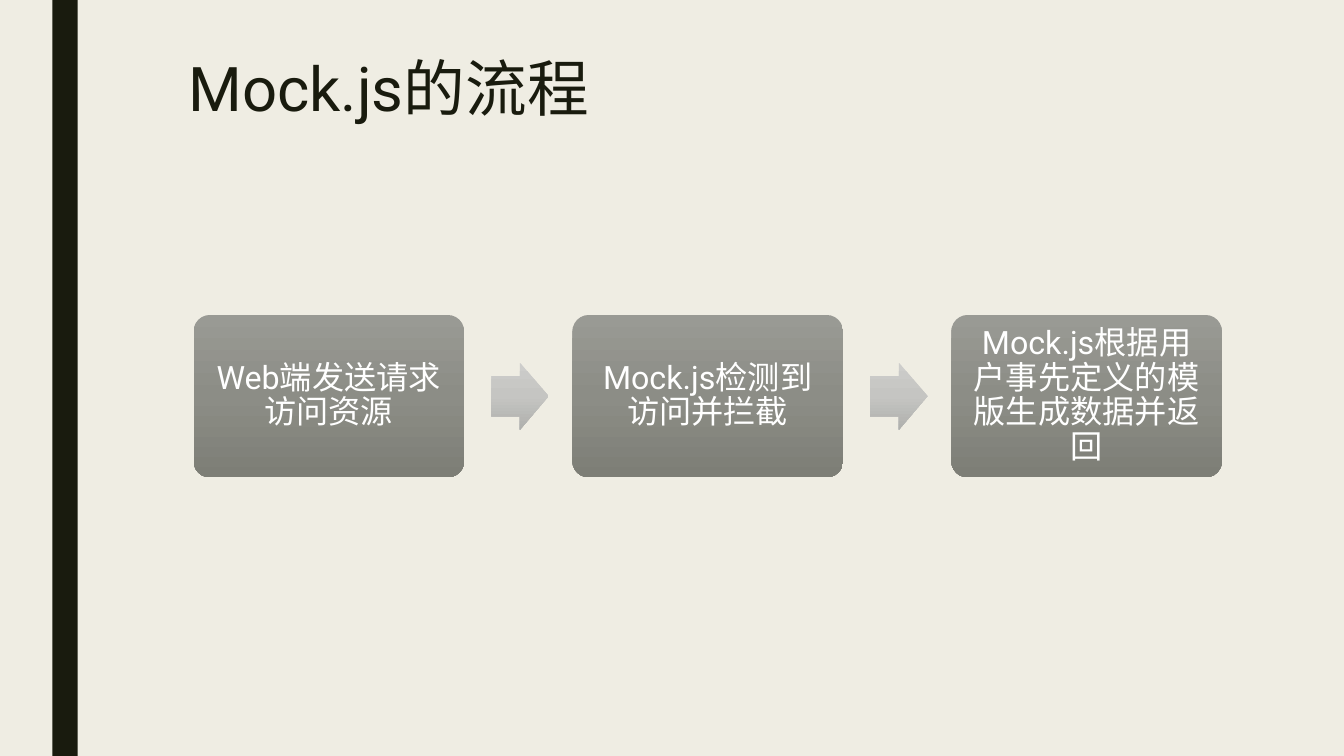
from copy import deepcopy

from pptx import Presentation
from pptx.dml.color import RGBColor
from pptx.enum.shapes import MSO_SHAPE as Preset
from pptx.enum.text import MSO_ANCHOR as Anchor, MSO_AUTO_SIZE as AutoSize, PP_ALIGN as Align
from pptx.util import Inches, Pt

SLIDE_W, SLIDE_H = 13.33, 7.5
FONT = "Roboto"
PAPER, INK, WHITE = "EFEDE3", "191B0E", "FFFFFF"
STEP_SHADES = ["999A94", "8C8D86", "7D7E76"]
ARROW_SHADES = ["CDCDCB", "C5C5C2", "AFB0AD"]
STEPS = [
    "Web端发送请求访问资源",
    "Mock.js检测到访问并拦截",
    "Mock.js根据用户事先定义的模版生成数据并返回",
]


def paint(color, value):
    color.rgb = RGBColor.from_string(value)


def add_preset(shapes, preset, left, top, width, height):
    """Add a preset shape without line or shadow."""
    shape = shapes.add_shape(
        preset, Inches(left), Inches(top), Inches(width), Inches(height))
    shape.shadow.inherit = False
    shape.line.fill.background()
    return shape


def shade(shape, shades):
    """Fill from top to bottom with three evenly spaced colours."""
    shape.fill.gradient()
    shape.fill.gradient_angle = 270
    first = shape.fill.gradient_stops[0]._gs
    first.addnext(deepcopy(first))
    for i, (stop, value) in enumerate(zip(shape.fill.gradient_stops, shades)):
        stop.position = i / (len(shades) - 1)
        paint(stop.color, value)


def write(frame, text, size, value, align, anchor, spacing):
    frame.word_wrap = True
    frame.auto_size = AutoSize.NONE
    frame.vertical_anchor = anchor
    paragraph = frame.paragraphs[0]
    paragraph.alignment = align
    paragraph.line_spacing = spacing
    run = paragraph.add_run()
    run.text = text
    run.font.name, run.font.size = FONT, Pt(size)
    paint(run.font.color, value)


def add_side_bar(slide, left, width):
    bar = add_preset(slide.shapes, Preset.RECTANGLE, left, 0, width, SLIDE_H)
    bar.fill.solid()
    paint(bar.fill.fore_color, INK)


def add_title(slide, text, left, top, width, height):
    title = slide.shapes.title
    title.left, title.top = Inches(left), Inches(top)
    title.width, title.height = Inches(width), Inches(height)
    write(title.text_frame, text, 44, INK, Align.LEFT, Anchor.TOP, 0.89)


def add_process(slide, steps, left, middle, width):
    """Spread the steps over the width, with an arrow in each gap."""
    gap_share = 0.4
    step_w = width / (len(steps) + gap_share * (len(steps) - 1))
    step_h = 0.6 * step_w
    arrow_w, arrow_h = 0.212 * step_w, 0.248 * step_w
    process = slide.shapes.add_group_shape().shapes
    for i, text in enumerate(steps):
        step_left = left + i * step_w * (1 + gap_share)
        # Arrow from the step before
        if i:
            arrow_left = step_left - (gap_share - 0.1) * step_w
            arrow = add_preset(process, Preset.RIGHT_ARROW, arrow_left,
                               middle - arrow_h / 2, arrow_w, arrow_h)
            arrow.adjustments[0], arrow.adjustments[1] = 0.6, 0.5
            shade(arrow, ARROW_SHADES)
        # Step box with its text
        step = add_preset(process, Preset.ROUNDED_RECTANGLE, step_left,
                          middle - step_h / 2, step_w, step_h)
        step.adjustments[0] = 0.1
        shade(step, STEP_SHADES)
        frame = step.text_frame
        frame.margin_left = frame.margin_right = Inches(0.1)
        frame.margin_top = frame.margin_bottom = Inches(0.1)
        write(frame, text, 23, WHITE, Align.CENTER, Anchor.MIDDLE, 0.9)


deck = Presentation()
deck.slide_width, deck.slide_height = Inches(SLIDE_W), Inches(SLIDE_H)
slide = deck.slides.add_slide(deck.slide_layouts[5])
slide.background.fill.solid()
paint(slide.background.fill.fore_color, PAPER)

add_side_bar(slide, left=0.52, width=0.25)
add_title(slide, "Mock.js的流程", left=1.77, top=0.53, width=10.5, height=1.62)
add_process(slide, STEPS, left=1.92, middle=SLIDE_H * 0.52 + 0.03, width=10.2)

deck.save("out.pptx")
